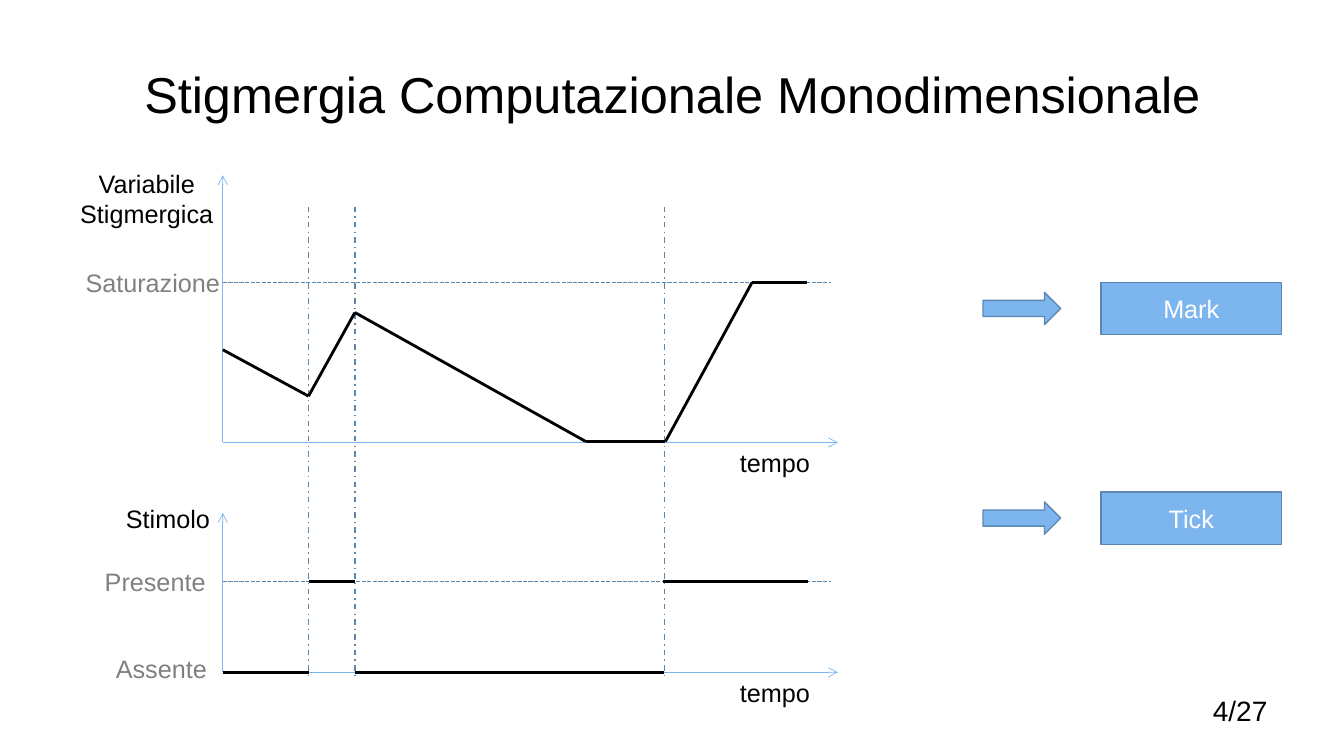
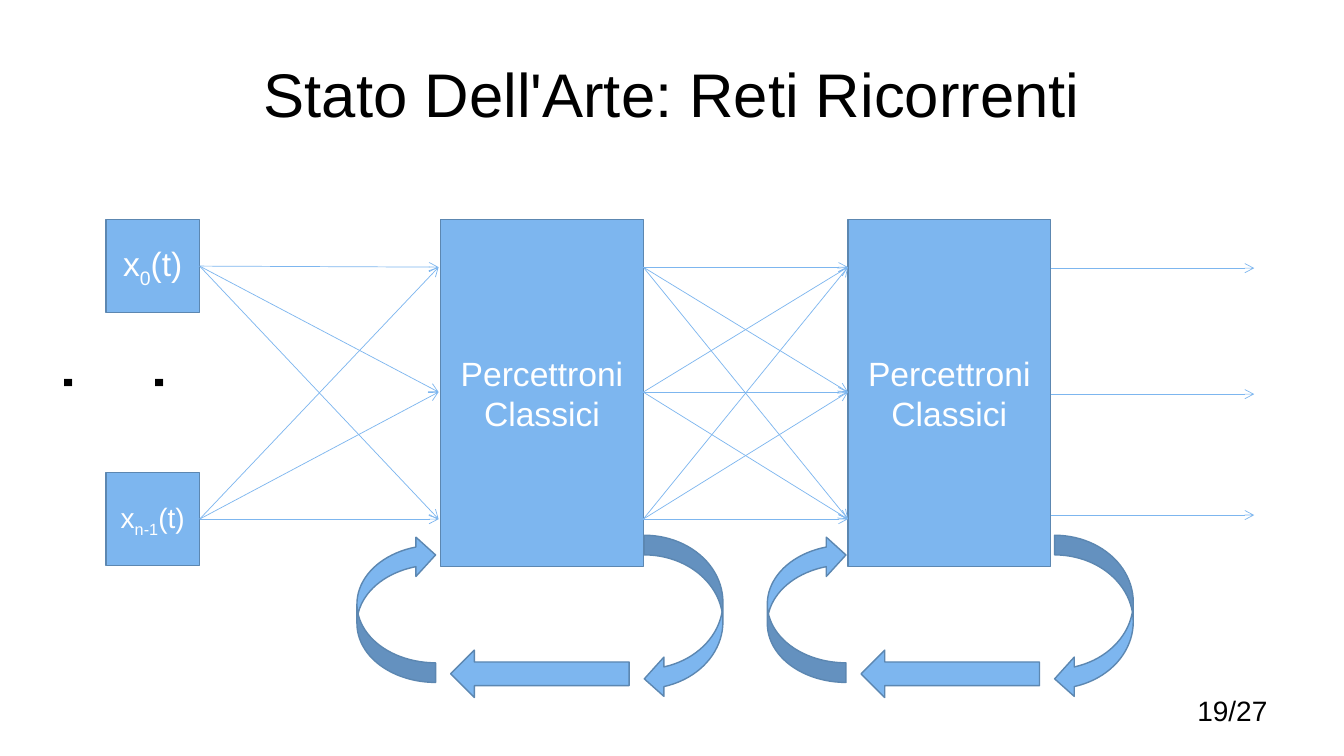
"""Builds two slides on computational stigmergy and recurrent networks."""
from dataclasses import dataclass
from itertools import product

from lxml.etree import SubElement
from pptx import Presentation
from pptx.dml.color import RGBColor
from pptx.enum.dml import MSO_LINE
from pptx.enum.shapes import MSO_CONNECTOR, MSO_SHAPE
from pptx.enum.text import MSO_ANCHOR, MSO_AUTO_SIZE, PP_ALIGN
from pptx.oxml.ns import qn
from pptx.shapes.autoshape import Shape
from pptx.slide import Slide
from pptx.util import Emu, Pt

EMU_PER_PX = 9144
FONT = "Arial"
BLUE, EDGE = "7DB6EF", "5C87B1"
BLACK, GRAY, WHITE = "000000", "808080", "FFFFFF"
LEFT, CENTER, RIGHT = PP_ALIGN.LEFT, PP_ALIGN.CENTER, PP_ALIGN.RIGHT


@dataclass(frozen=True)
class Stroke:
    color: str
    width: float
    dash: MSO_LINE | None = None
    arrow: bool = False


@dataclass(frozen=True)
class Line:
    x1: int
    y1: int
    x2: int
    y2: int
    stroke: Stroke


@dataclass(frozen=True)
class Label:
    text: str
    x: int
    y: int
    w: int
    h: int = 40
    size: int = 18
    color: str = BLACK
    align: PP_ALIGN = LEFT
    anchor: MSO_ANCHOR = MSO_ANCHOR.TOP
    grow: bool = True


@dataclass(frozen=True)
class Block:
    kind: MSO_SHAPE
    x: int
    y: int
    w: int
    h: int
    text: str = ""
    size: int = 18
    rotation: int = 0


ARROW = Stroke(BLUE, 0.5, arrow=True)
LEVEL = Stroke(EDGE, 1, MSO_LINE.SQUARE_DOT)
EVENT = Stroke(EDGE, 1, MSO_LINE.DASH_DOT)
CURVE = Stroke(BLACK, 2)


def px(n: int) -> Emu:
    """Turn px into EMU."""
    return Emu(n * EMU_PER_PX)


def rgb(value: str) -> RGBColor:
    """Turn a hex string into a colour."""
    return RGBColor.from_string(value)


def format_text(sp: Shape, size: int, color: str, align: PP_ALIGN) -> None:
    """Align every paragraph and style every run."""
    for p in sp.text_frame.paragraphs:
        p.alignment = align
        for r in p.runs:
            r.font.name = FONT
            r.font.size = Pt(size)
            r.font.color.rgb = rgb(color)


def add_line(s: Slide, line: Line) -> None:
    """Draw a straight line, with an arrowhead if its stroke has one."""
    ends = (px(n) for n in (line.x1, line.y1, line.x2, line.y2))
    cn = s.shapes.add_connector(MSO_CONNECTOR.STRAIGHT, *ends)
    cn.line.color.rgb = rgb(line.stroke.color)
    cn.line.width = Pt(line.stroke.width)
    if line.stroke.dash is not None:
        cn.line.dash_style = line.stroke.dash
    spPr = cn._element.spPr
    if line.stroke.arrow:
        SubElement(spPr.find(qn("a:ln")), qn("a:tailEnd")).set("type", "arrow")
    SubElement(spPr, qn("a:effectLst"))


def add_label(s: Slide, label: Label) -> Shape:
    """Draw a wrapped text box."""
    sp = s.shapes.add_textbox(px(label.x), px(label.y), px(label.w), px(label.h))
    tf = sp.text_frame
    tf.word_wrap = True
    tf.vertical_anchor = label.anchor
    tf.auto_size = MSO_AUTO_SIZE.SHAPE_TO_FIT_TEXT if label.grow else MSO_AUTO_SIZE.NONE
    tf.text = label.text
    format_text(sp, label.size, label.color, label.align)
    return sp


def add_block(s: Slide, block: Block) -> Shape:
    """Draw a filled shape with centred white text."""
    sp = s.shapes.add_shape(block.kind, px(block.x), px(block.y), px(block.w), px(block.h))
    sp.shadow.inherit = False
    sp.rotation = block.rotation
    sp.fill.solid()
    sp.fill.fore_color.rgb = rgb(BLUE)
    sp.line.color.rgb = rgb(EDGE)
    sp.line.width = Pt(1)
    if block.text:
        sp.text_frame.text = block.text
        sp.text_frame.vertical_anchor = MSO_ANCHOR.MIDDLE
        format_text(sp, block.size, WHITE, CENTER)
    return sp


def add_input(s: Slide, y: int, index: str, size: int) -> None:
    """Draw an input box with a subscripted name."""
    sp = add_block(s, Block(MSO_SHAPE.RECTANGLE, 105, y, 93, 92, "x", size))
    p = sp.text_frame.paragraphs[0]
    sub, arg = p.add_run(), p.add_run()
    sub.text, arg.text = index, "(t)"
    format_text(sp, size, WHITE, CENTER)
    sub._r.get_or_add_rPr().set("baseline", "-25000")


def add_slide(prs: Presentation, title: str, size: int, page: str) -> Slide:
    """Add a blank slide with its title and page number."""
    s = prs.slides.add_slide(prs.slide_layouts[6])
    add_label(s, Label(title, 67, 30, 1200, 125, size, align=CENTER,
                       anchor=MSO_ANCHOR.MIDDLE, grow=False))
    add_label(s, Label(page, 956, 683, 311, 52, 20, align=RIGHT, grow=False))
    return s


def build_stigmergy(prs: Presentation) -> None:
    """Draw the stigmergic variable and its stimulus over time."""
    s = add_slide(prs, "Stigmergia Computazionale Monodimensionale", 36, "4/27")
    for base, top in ((439, 174), (667, 509)):
        add_line(s, Line(221, base, 221, top, ARROW))
        add_line(s, Line(221, base, 831, base, ARROW))
        add_label(s, Label("tempo", 724, base, 106))
    for y in (280, 577):
        add_line(s, Line(221, y, 824, y, LEVEL))
    for x in (306, 352, 659):
        add_line(s, Line(x, 205, x, 670, EVENT))

    variable = [(221, 347), (306, 393), (352, 310), (581, 438),
                (660, 438), (746, 280), (800, 280)]
    for start, end in zip(variable, variable[1:]):
        add_line(s, Line(*start, *end, CURVE))
    for x1, x2, y in ((221, 306, 667), (306, 352, 577), (352, 659, 667), (658, 801, 577)):
        add_line(s, Line(x1, y, x2, y, CURVE))

    for label in (
        Label("Variabile Stigmergica", 57, 162, 177, 71, align=CENTER),
        Label("Stimolo", 115, 494, 149),
        Label("Saturazione", 75, 260, 160, color=GRAY),
        Label("Presente", 94, 557, 149, color=GRAY),
        Label("Assente", 105, 643, 149, color=GRAY),
    ):
        add_label(s, label)
    for text, y in (("Mark", 280), ("Tick", 488)):
        add_block(s, Block(MSO_SHAPE.RECTANGLE, 1092, y, 179, 52, text))
        add_block(s, Block(MSO_SHAPE.RIGHT_ARROW, 975, y + 10, 77, 32))


def build_recurrent(prs: Presentation) -> None:
    """Draw two recurrent perceptron layers and their inputs."""
    s = add_slide(prs, "Stato Dell'Arte: Reti Ricorrenti", 44, "19/27")
    add_input(s, 218, "0", 24)
    add_input(s, 469, "n-1", 20)
    dots = add_label(s, Label("...", 123, 360, 111, 59, 54))
    dots.text_frame._txBody.bodyPr.set("vert", "eaVert")

    for x in (437, 841):
        add_block(s, Block(MSO_SHAPE.RECTANGLE, x, 218, 201, 344,
                           "Percettroni\nClassici", 24))
    ports = (265, 389, 515)
    for x1, starts, x2 in ((198, (264, 515), 435), (638, ports, 841)):
        for y1, y2 in product(starts, ports):
            add_line(s, Line(x1, y1, x2, y2, ARROW))
    for y in (266, 391, 511):
        add_line(s, Line(1042, y, 1244, y, ARROW))

    for x in (354, 761):
        add_block(s, Block(MSO_SHAPE.CURVED_LEFT_ARROW, x + 285, 531, 78, 162))
        add_block(s, Block(MSO_SHAPE.LEFT_ARROW, x + 93, 645, 177, 47))
        add_block(s, Block(MSO_SHAPE.CURVED_LEFT_ARROW, x, 531, 78, 146, rotation=180))


def main() -> None:
    """Build and save the presentation."""
    prs = Presentation()
    prs.slide_width, prs.slide_height = px(1333), px(750)
    build_stigmergy(prs)
    build_recurrent(prs)
    prs.save("out.pptx")


if __name__ == "__main__":
    main()
